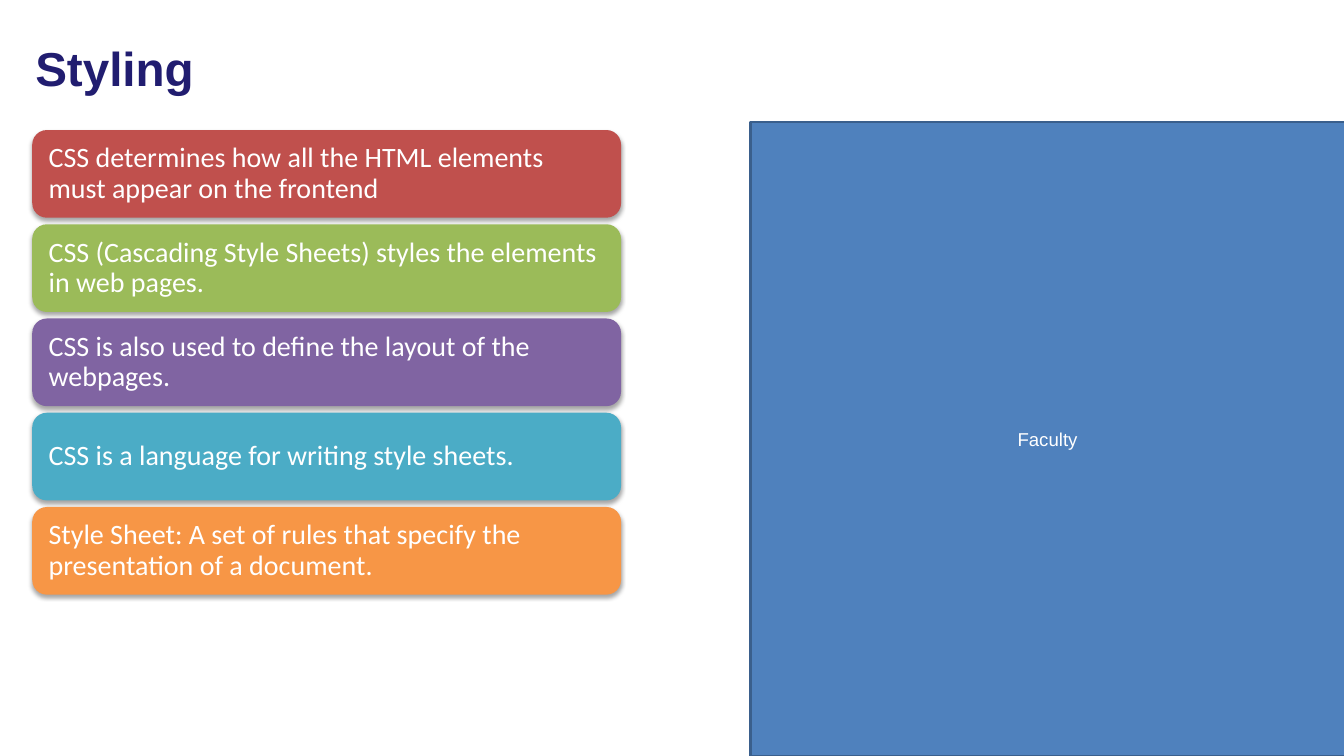
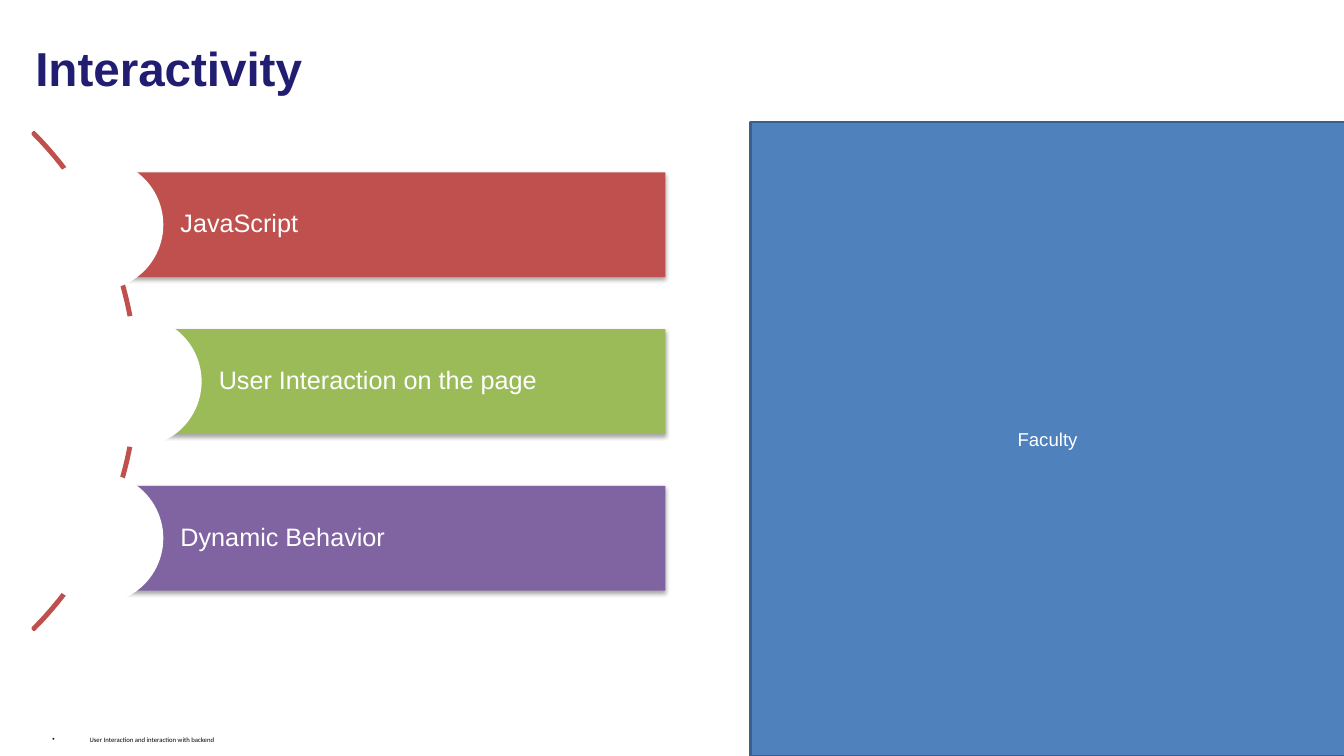
from dataclasses import dataclass

from lxml import etree
from pptx import Presentation
from pptx.dml.color import RGBColor
from pptx.enum.shapes import MSO_SHAPE
from pptx.enum.text import MSO_ANCHOR, PP_ALIGN
from pptx.oxml import parse_xml
from pptx.oxml.ns import nsdecls, qn
from pptx.util import Inches, Pt

RECTANGLE = MSO_SHAPE.RECTANGLE
ROUNDED = MSO_SHAPE.ROUNDED_RECTANGLE
OVAL = MSO_SHAPE.OVAL
BLOCK_ARC = MSO_SHAPE.BLOCK_ARC
MIDDLE = MSO_ANCHOR.MIDDLE
LEFT = PP_ALIGN.LEFT
CENTER = PP_ALIGN.CENTER


@dataclass(frozen=True)
class Theme:
    navy: str = "211D70"
    blue: str = "4F81BD"
    blue_edge: str = "3A5F8C"
    white: str = "FFFFFF"
    black: str = "000000"
    accents: tuple = ("C0504D", "9BBB59", "8064A2", "4BACC6", "F79646")
    heading_font: str = "Arial"
    body_font: str = "Calibri"
    title_size: float = 34
    card_size: float = 20
    bar_size: float = 18
    panel_size: float = 13.3
    note_size: float = 4.8


THEME = Theme()
SHADOW = (
    f'<a:effectLst {nsdecls("a")}>'
    f'<a:outerShdw blurRad="{Pt(3.1)}" dist="{Pt(1.8)}" dir="5400000" rotWithShape="0">'
    f'<a:srgbClr val="{THEME.black}"><a:alpha val="35000"/></a:srgbClr>'
    "</a:outerShdw></a:effectLst>"
)


def write(box, text, font, size, color, margins, align=LEFT, bold=False, spacing=0.9):
    frame = box.text_frame
    sides = ("margin_left", "margin_top", "margin_right", "margin_bottom")
    settings = dict(zip(sides, map(Inches, margins)))
    settings.update(word_wrap=True, vertical_anchor=MIDDLE)
    for name, value in settings.items():
        setattr(frame, name, value)
    para = frame.paragraphs[0]
    para.alignment = align
    para.line_spacing = spacing
    span = para.add_run()
    span.text = text
    for name, value in {"name": font, "size": Pt(size), "bold": bold}.items():
        setattr(span.font, name, value)
    span.font.color.rgb = RGBColor.from_string(color)
    return para


def add_box(page, kind, place, fill=None, line=None, shadow=False):
    box = page.shapes.add_shape(kind, *map(Inches, place))
    box.shadow.inherit = False
    if fill:
        box.fill.solid()
        box.fill.fore_color.rgb = RGBColor.from_string(fill)
    else:
        box.fill.background()
    if line:
        box.line.color.rgb = RGBColor.from_string(line)
        box.line.width = Pt(2)
    else:
        box.line.fill.background()
    if shadow:
        properties = box.fill._xPr
        properties.replace(properties.find(qn("a:effectLst")), parse_xml(SHADOW))
    return box


deck = Presentation()
deck.slide_width = Inches(13.33)
deck.slide_height = Inches(7.5)

pages = []
for heading in ("Styling", "Interactivity"):
    page = deck.slides.add_slide(deck.slide_layouts[5])
    panel = add_box(page, RECTANGLE, (7.44, 1.21, 5.9, 6.29), THEME.blue, THEME.blue_edge)
    write(panel, "Faculty", THEME.heading_font, THEME.panel_size, THEME.white,
          (0.1, 0.05, 0.1, 0.05), align=CENTER, spacing=1)
    title = page.shapes.title
    place = {"left": 0.25, "top": 0.25, "width": 11.81, "height": 0.91}
    for name, value in place.items():
        setattr(title, name, Inches(value))
    write(title, heading, THEME.heading_font, THEME.title_size, THEME.navy,
          (0.1, 0.05, 0.1, 0.05), bold=True)
    pages.append(page)

styling, interactivity = pages

cards = (
    "CSS determines how all the HTML elements must appear on the frontend",
    "CSS (Cascading Style Sheets) styles the elements in web pages.",
    "CSS is also used to define the layout of the webpages.",
    "CSS is a language for writing style sheets.",
    "Style Sheet: A set of rules that specify the presentation of a document.",
)
card_pitch = 0.935
for index, (text, color) in enumerate(zip(cards, THEME.accents)):
    place = (0.32, 1.29 + index * card_pitch, 5.84, 0.87)
    card = add_box(styling, ROUNDED, place, color, shadow=True)
    write(card, text, THEME.body_font, THEME.card_size, THEME.white, (0.12,) * 4)

arc = add_box(interactivity, BLOCK_ARC, (-5.62, 0.29, 6.98, 6.98), line=THEME.accents[0])
for index, value in enumerate((189, 27, 0.003)):
    arc.adjustments[index] = value

bars = (("JavaScript", 0.97), ("User Interaction on the page", 1.35), ("Dynamic Behavior", 0.97))
bar_right, bar_height, bar_pitch, circle = 6.6, 1.04, 1.555, 1.3
for index, ((text, left), color) in enumerate(zip(bars, THEME.accents)):
    top = 1.71 + index * bar_pitch
    place = (left, top, bar_right - left, bar_height)
    bar = add_box(interactivity, RECTANGLE, place, color, shadow=True)
    write(bar, text, THEME.heading_font, THEME.bar_size, THEME.white, (0.82, 0.05, 0.05, 0.05))
    place = (left - circle / 2, top + (bar_height - circle) / 2, circle, circle)
    add_box(interactivity, OVAL, place, THEME.white)

note = interactivity.shapes.add_textbox(*map(Inches, (0.42, 7.25, 10.61, 0.15)))
para = write(note, "User Interaction and interaction with backend", THEME.body_font,
             THEME.note_size, THEME.black, (0.1, 0.05, 0.1, 0.05), spacing=1)
note.text_frame.vertical_anchor = MSO_ANCHOR.TOP
properties = para._p.get_or_add_pPr()
properties.set("marL", str(Inches(0.37)))
properties.set("indent", str(Inches(-0.37)))
bullet_color = etree.SubElement(properties, qn("a:buClr"))
etree.SubElement(bullet_color, qn("a:srgbClr"), val=THEME.black)
etree.SubElement(properties, qn("a:buFont"), typeface=THEME.heading_font)
etree.SubElement(properties, qn("a:buChar"), char="•")

deck.save("out.pptx")
